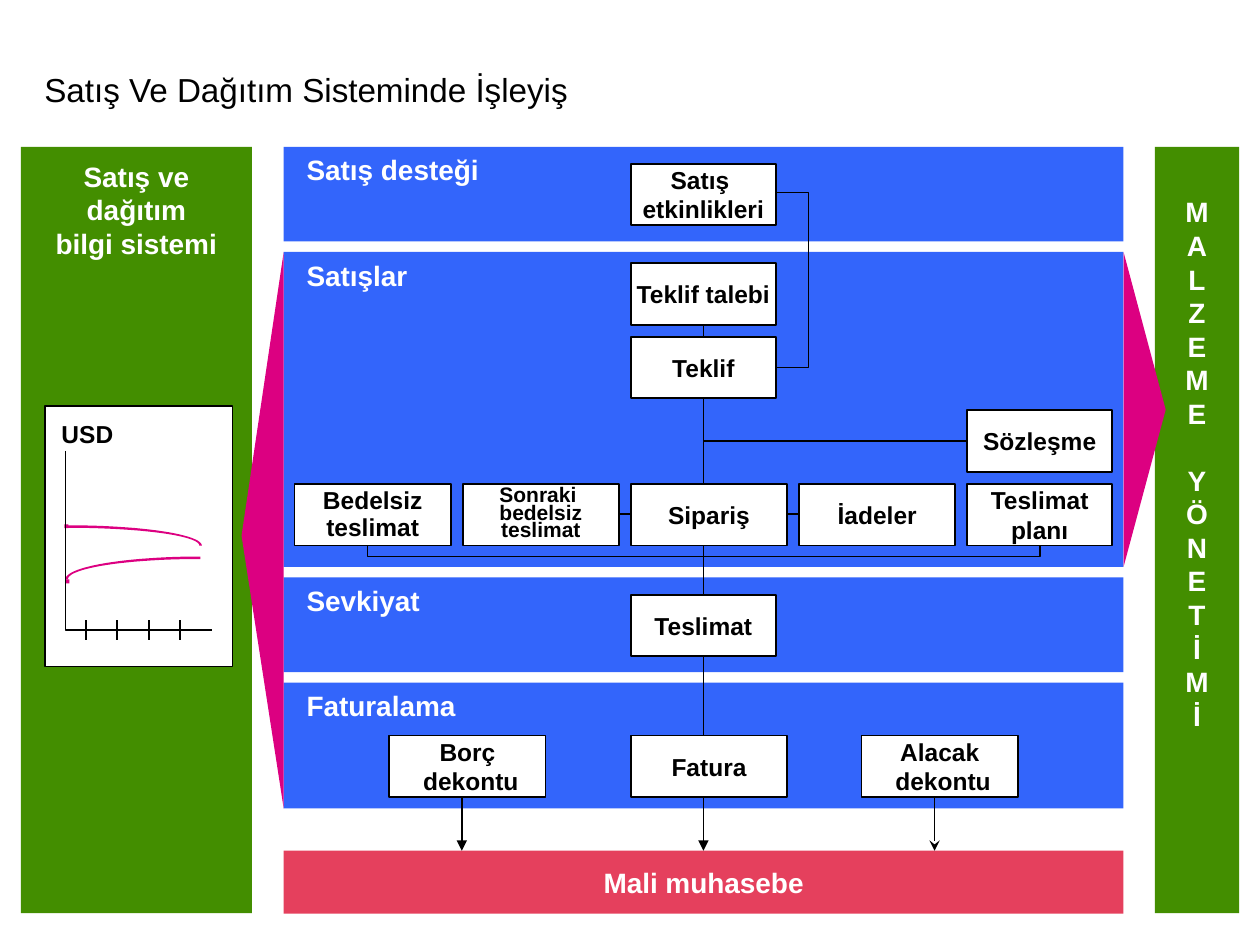
from dataclasses import dataclass
from math import cos, pi, sin

from lxml.etree import SubElement
from pptx import Presentation
from pptx.dml.color import RGBColor
from pptx.enum.shapes import MSO_CONNECTOR as Link, MSO_SHAPE as Preset
from pptx.enum.text import MSO_ANCHOR as Anchor, PP_ALIGN as Align
from pptx.oxml.ns import qn
from pptx.util import Cm, Pt


@dataclass(frozen=True)
class Theme:
    font: str = "Arial"
    black: RGBColor = RGBColor(0, 0, 0)
    white: RGBColor = RGBColor(255, 255, 255)
    green: RGBColor = RGBColor(0x43, 0x8E, 0x00)
    blue: RGBColor = RGBColor(0x33, 0x65, 0xFB)
    red: RGBColor = RGBColor(0xE5, 0x40, 0x5D)
    pink: RGBColor = RGBColor(0xDC, 0x00, 0x81)
    title: Pt = Pt(19)
    heading: Pt = Pt(16)
    node: Pt = Pt(14)
    small: Pt = Pt(12)
    line: Pt = Pt(1)


theme = Theme()


def block(parent, area, text="", fill=None, size=theme.heading, color=theme.white,
          anchor=Anchor.MIDDLE, align=Align.CENTER, spacing=None):
    lengths = [Cm(value) for value in area]
    if fill is None:
        box = parent.add_textbox(*lengths)
    else:
        box = parent.add_shape(Preset.RECTANGLE, *lengths)
        box.shadow.inherit = False
        box.fill.solid()
        box.fill.fore_color.rgb = fill
        if fill == theme.white:
            box.line.color.rgb = theme.black
            box.line.width = theme.line
        else:
            box.line.fill.background()
    frame = box.text_frame
    frame.word_wrap = False
    frame.vertical_anchor = anchor
    frame.text = text
    for para in frame.paragraphs:
        para.alignment = align
        para.line_spacing = spacing
        para.font.name = theme.font
        para.font.size = size
        para.font.bold = True
        para.font.color.rgb = color
    return box


def trace(parent, points, fill=None, arrow=None):
    points = [(Cm(x), Cm(y)) for x, y in points]
    if len(points) == 2:
        path = parent.add_connector(Link.STRAIGHT, *points[0], *points[1])
        SubElement(path._element.spPr, qn("a:effectLst"))
    else:
        builder = parent.build_freeform(*points[0])
        builder.add_line_segments(points[1:], close=fill is not None)
        path = builder.convert_to_shape()
        path.shadow.inherit = False
    if fill is not None:
        path.fill.solid()
        path.fill.fore_color.rgb = fill
        path.line.fill.background()
        return
    if len(points) > 2:
        path.fill.background()
    path.line.color.rgb = theme.black
    path.line.width = theme.line
    if arrow:
        SubElement(path.line._get_or_add_ln(), qn("a:tailEnd"), type=arrow)


deck = Presentation()
deck.slide_width, deck.slide_height = Cm(25.4), Cm(19.05)
page = deck.slides.add_slide(deck.slide_layouts[5])
shapes = page.shapes

title = shapes.title
title.left, title.top, title.width, title.height = Cm(0.64), Cm(1.07), Cm(24.56), Cm(1.47)
title.text_frame.text = "Satış Ve Dağıtım Sisteminde İşleyiş"
title.text_frame.vertical_anchor = Anchor.MIDDLE
heading = title.text_frame.paragraphs[0]
heading.alignment = Align.LEFT
heading.font.name = theme.font
heading.font.size = theme.title
heading.font.color.rgb = theme.black

materials = block(shapes, (23.28, 2.96, 1.7, 15.45), "\n".join("MALZEMEYÖNETİMİ"),
                  theme.green, anchor=Anchor.TOP)
materials.text_frame.margin_top = Cm(0.97)
materials.text_frame.paragraphs[len("MALZEME")].space_before = Pt(19)
info = block(shapes, (0.42, 2.96, 4.66, 15.45), "Satış ve\ndağıtım\nbilgi sistemi",
             theme.green, anchor=Anchor.TOP)
info.text_frame.margin_top = Cm(0.25)

chart = shapes.add_group_shape().shapes
block(chart, (0.91, 8.18, 3.78, 5.26), fill=theme.white)
steps = [step * pi / 48 for step in range(25)]
for center_x, center_y, radius_y, side in ((1.35, 11, 0.41, 1), (4.04, 11.68, 0.46, -1)):
    outer = [(center_x + side * 2.72 * sin(t), center_y - radius_y * cos(t)) for t in steps]
    inner = [(center_x + side * 2.67 * sin(t), center_y - (radius_y - 0.05) * cos(t))
             for t in reversed(steps)]
    trace(chart, outer + inner, theme.pink)
for left, top in ((1.3, 10.57), (1.32, 11.68)):
    block(chart, (left, top, 0.08, 0.08), fill=theme.pink)
block(chart, (0.99, 8.33, 1.55, 0.84), "USD", size=theme.node, color=theme.black,
      align=Align.LEFT)
for tick in range(4):
    x = 1.73 + 0.635 * tick
    trace(chart, [(x, 12.5), (x, 12.9)])
trace(chart, [(1.32, 9.09), (1.32, 12.7), (4.27, 12.7)])

for name, top, height in (("Satış desteği", 2.96, 1.91), ("Satışlar", 5.08, 6.35),
                          ("Sevkiyat", 11.64, 1.91), ("Faturalama", 13.76, 2.54)):
    block(shapes, (5.72, top, 16.93, height), fill=theme.blue)
    block(shapes, (5.93, top, 4, 0.94), name, anchor=Anchor.TOP, align=Align.LEFT)
block(shapes, (5.72, 17.15, 16.93, 1.27), "Mali muhasebe", theme.red)

for x, top, arrow in ((14.18, 6.35, "triangle"), (9.31, 15.88, "triangle"),
                      (18.84, 15.88, "stealth")):
    trace(shapes, [(x, top), (x, 17.15)], arrow=arrow)
trace(shapes, [(7.41, 10.8), (7.41, 11.22), (20.96, 11.22), (20.96, 10.8)])
trace(shapes, [(12.07, 10.37), (16.3, 10.37)])
trace(shapes, [(14.18, 8.89), (19.69, 8.89)])
trace(shapes, [(15.45, 3.88), (16.3, 3.88), (16.3, 7.41), (15.45, 7.41)])

columns = [5.94 + 3.39 * index for index in range(5)]
narrow, wide = 2.92, 3.15
order_row, invoice_row = 9.76, 14.83
for text, left, top, width, size, spacing in (
    ("Satış \netkinlikleri", columns[2], 3.3, narrow, theme.node, None),
    ("Teklif talebi", columns[2], 5.31, narrow, theme.node, None),
    ("Teklif", columns[2], 6.79, narrow, theme.node, None),
    ("Sözleşme", columns[4], 8.27, narrow, theme.node, None),
    ("Bedelsiz\nteslimat", columns[0], order_row, wide, theme.node, 0.9),
    ("Sonraki \nbedelsiz\nteslimat", columns[1], order_row, wide, theme.small, 0.7),
    ("Sipariş", columns[2], order_row, wide, theme.node, None),
    ("İadeler", columns[3], order_row, wide, theme.node, None),
    ("Teslimat\nplanı", columns[4], order_row, narrow, theme.node, None),
    ("Teslimat", columns[2], 11.99, narrow, theme.node, None),
    ("Borç\n dekontu", 7.85, invoice_row, wide, theme.node, None),
    ("Fatura", columns[2], invoice_row, wide, theme.node, None),
    ("Alacak\n dekontu", 17.37, invoice_row, wide, theme.node, None),
):
    block(shapes, (left, top, width, 1.24), text, theme.white, size, theme.black,
          spacing=spacing)

trace(shapes, [(23.5, 8.26), (22.65, 5.08), (22.65, 11.43)], theme.pink)
trace(shapes, [(4.87, 10.8), (5.72, 5.08), (5.72, 16.3)], theme.pink)

deck.save("out.pptx")
